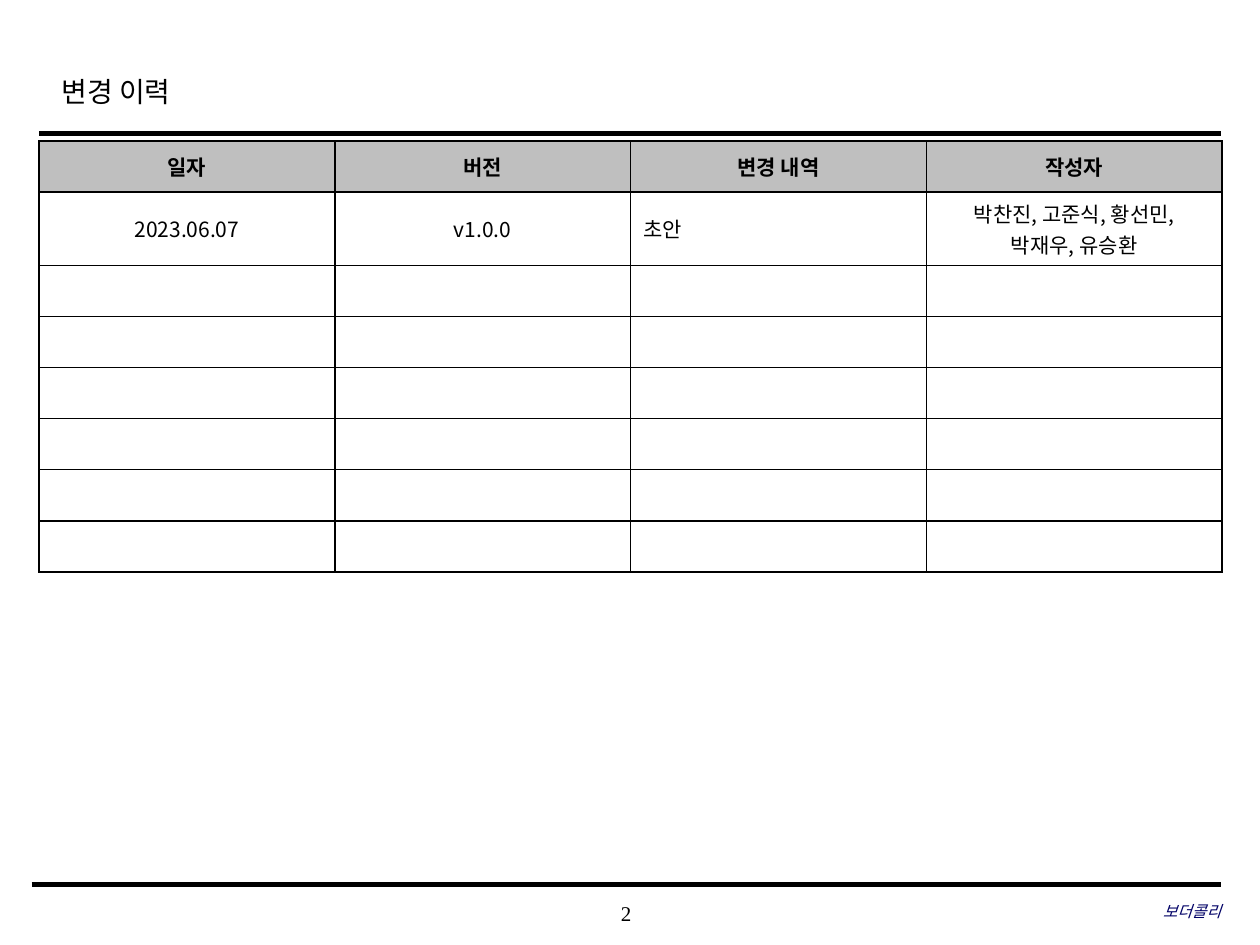
from dataclasses import dataclass

from lxml.etree import SubElement
from pptx import Presentation
from pptx.dml.color import RGBColor
from pptx.enum.shapes import MSO_CONNECTOR as Connector
from pptx.enum.text import MSO_ANCHOR as Anchor, PP_ALIGN as Align
from pptx.oxml.ns import qn
from pptx.util import Inches, Pt

WIDTH, HEIGHT = 10, 7.5
SERIF, SANS = "Times New Roman", "Noto Sans CJK KR"
BLACK, WHITE, GREY, NAVY = "000000", "FFFFFF", "BFBFBF", "000066"

# Revision table grid: filled rows hold two lines, the others share the rest
TABLE_LEFT, TABLE_TOP, TABLE_WIDTH, TABLE_HEIGHT = 0.31, 1.12, 9.39, 3.42
ROW_COUNT, REVISION_HEIGHT = 8, 0.58
RIGHT_EDGE = 9.69
HEADINGS = ["일자", "버전", "변경 내역", "작성자"]
REVISIONS = [["2023.06.07", "v1.0.0", "초안", "박찬진, 고준식, 황선민,\n박재우, 유승환"]]
NOTE_COLUMN = HEADINGS.index("변경 내역")
ROW_HEIGHT = (TABLE_HEIGHT - len(REVISIONS) * REVISION_HEIGHT) / (ROW_COUNT - len(REVISIONS))


@dataclass
class Label:
    text: str
    left: float
    top: float
    width: float
    height: float
    size: float
    align: Align = Align.LEFT
    color: str = BLACK
    italic: bool = False
    anchor: Anchor = Anchor.MIDDLE
    inset: tuple[float, float] = (0, 0)
    spacing: float = 1.0


@dataclass
class Rule:
    left: float
    y: float
    weight: float


LABELS = [
    Label("변경 이력", 0.39, 0.49, 7.55, 0.5, 16,
          anchor=Anchor.TOP, inset=(0.1, 0.05), spacing=1.2),
    Label("2", 3.93, 7.08, 2.08, 0.33, 12, Align.CENTER),
    Label("보더콜리", 6.63, 7.07, 3.06, 0.33, 9, Align.RIGHT, NAVY, italic=True),
]
RULES = [Rule(0.31, 1.06, 2.5), Rule(0.25, 7.02, 3)]


def rgb(color: str) -> RGBColor:
    return RGBColor.from_string(color)


def style_font(font, name: str, size: float, color: str, bold=False, italic=False) -> None:
    font.name, font.size = name, Pt(size)
    font.bold, font.italic = bold, italic
    font.color.rgb = rgb(color)


def draw_label(slide, label: Label) -> None:
    box = slide.shapes.add_textbox(
        *map(Inches, (label.left, label.top, label.width, label.height)))
    frame = box.text_frame
    frame.word_wrap = True
    frame.vertical_anchor = label.anchor
    frame.margin_left = frame.margin_right = Inches(label.inset[0])
    frame.margin_top = frame.margin_bottom = Inches(label.inset[1])
    frame.text = label.text
    paragraph = frame.paragraphs[0]
    paragraph.alignment = label.align
    paragraph.line_spacing = label.spacing
    style_font(paragraph.font, SERIF, label.size, label.color, italic=label.italic)


def draw_rule(slide, rule: Rule) -> None:
    line = slide.shapes.add_connector(
        Connector.STRAIGHT, *map(Inches, (rule.left, rule.y, RIGHT_EDGE, rule.y)))
    line.line.color.rgb = rgb(BLACK)
    line.line.width = Pt(rule.weight)
    SubElement(line._element.spPr, qn("a:effectLst"))


def add_borders(cell, color: str, weight: float) -> None:
    properties = cell._tc.get_or_add_tcPr()
    for index, side in enumerate(("a:lnL", "a:lnR", "a:lnT", "a:lnB")):
        border = properties.makeelement(qn(side), {"w": str(Pt(weight))})
        SubElement(SubElement(border, qn("a:solidFill")), qn("a:srgbClr"), val=color)
        properties.insert(index, border)


def fill_cell(cell, text: str, header: bool, align: Align) -> None:
    cell.text = text
    cell.vertical_anchor = Anchor.MIDDLE
    cell.fill.solid()
    cell.fill.fore_color.rgb = rgb(GREY if header else WHITE)
    for paragraph in cell.text_frame.paragraphs:
        paragraph.alignment = align
        style_font(paragraph.font, SANS, 12, BLACK, bold=header)
    add_borders(cell, BLACK, 1)


def draw_revisions(slide) -> None:
    table = slide.shapes.add_table(
        ROW_COUNT, len(HEADINGS),
        *map(Inches, (TABLE_LEFT, TABLE_TOP, TABLE_WIDTH, TABLE_HEIGHT))).table
    table.first_row = table.horz_banding = False
    unused = [[""] * len(HEADINGS)] * (ROW_COUNT - 1 - len(REVISIONS))
    for row, texts in enumerate([HEADINGS, *REVISIONS, *unused]):
        header = row == 0
        is_revision = 1 <= row <= len(REVISIONS)
        table.rows[row].height = Inches(REVISION_HEIGHT if is_revision else ROW_HEIGHT)
        for column, text in enumerate(texts):
            is_note = column == NOTE_COLUMN and not header
            fill_cell(table.cell(row, column), text, header,
                      Align.LEFT if is_note else Align.CENTER)


def main() -> None:
    deck = Presentation()
    deck.slide_width, deck.slide_height = Inches(WIDTH), Inches(HEIGHT)
    slide = deck.slides.add_slide(deck.slide_layouts[6])

    # Header and footer
    for rule in RULES:
        draw_rule(slide, rule)
    for label in LABELS:
        draw_label(slide, label)

    # Change history
    draw_revisions(slide)
    deck.save("out.pptx")


if __name__ == "__main__":
    main()
